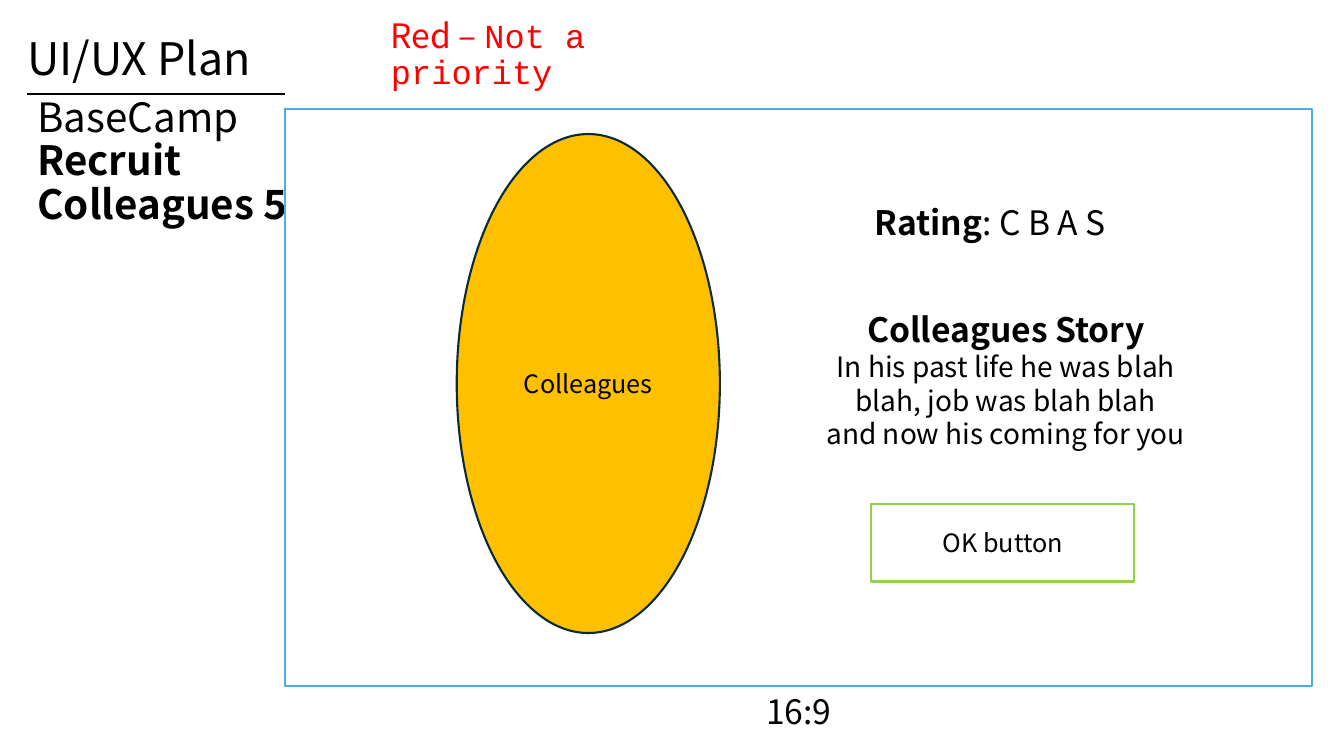
from lxml.etree import SubElement
from pptx import Presentation
from pptx.dml.color import RGBColor
from pptx.enum.shapes import MSO_CONNECTOR, MSO_SHAPE
from pptx.enum.text import MSO_ANCHOR, MSO_AUTO_SIZE, PP_ALIGN
from pptx.oxml.ns import qn
from pptx.util import Inches, Pt

BLACK = RGBColor(0x00, 0x00, 0x00)
RED = RGBColor(0xFF, 0x00, 0x00)
SKY = RGBColor(0x46, 0xB1, 0xE1)
GREEN = RGBColor(0x92, 0xD0, 0x50)
AMBER = RGBColor(0xFF, 0xC0, 0x00)
NAVY = RGBColor(0x09, 0x2A, 0x39)
SANS = "Noto Sans CJK KR"
MONO = "Courier New"


def write(shape, *paragraphs, size=24, color=BLACK, align=PP_ALIGN.LEFT,
          anchor=MSO_ANCHOR.MIDDLE, spacing=None):
    """Fill a shape with paragraphs of (text, format) runs."""
    frame = shape.text_frame
    frame.word_wrap = True
    frame.auto_size = MSO_AUTO_SIZE.NONE
    frame.vertical_anchor = anchor
    for index, runs in enumerate(paragraphs):
        paragraph = frame.add_paragraph() if index else frame.paragraphs[0]
        paragraph.alignment = align
        paragraph.line_spacing = spacing
        for text, look in runs:
            for number, line in enumerate(text.split("\n")):
                if number:
                    paragraph.add_line_break()
                if line:
                    run = paragraph.add_run()
                    run.text = line
                    run.font.name = look.get("font", SANS)
                    run.font.size = Pt(look.get("size", size))
                    run.font.bold = look.get("bold", False)
                    run.font.color.rgb = color


def add_text(slide, left, top, width, height, *paragraphs, **look):
    """Add a text box in inches and write into it."""
    box = slide.shapes.add_textbox(
        Inches(left), Inches(top), Inches(width), Inches(height))
    write(box, *paragraphs, **look)


def add_outlined(slide, kind, left, top, width, height, line, fill=None, label=None):
    """Add an outlined shape with an optional fill and centred label."""
    shape = slide.shapes.add_shape(
        kind, Inches(left), Inches(top), Inches(width), Inches(height))
    shape.shadow.inherit = False
    if fill is None:
        shape.fill.background()
    else:
        shape.fill.solid()
        shape.fill.fore_color.rgb = fill
    shape.line.color.rgb = line
    shape.line.width = Pt(1.5)
    if label:
        write(shape, [(label, {})], size=18, align=PP_ALIGN.CENTER)


def add_heading(slide, left, top):
    """Place the plan name, its rule, the screen title and the priority key."""
    add_text(slide, left, top, 11.5, 0.96, [("UI/UX Plan", {})], size=32, spacing=0.9)
    rule_left, rule_top = left + 0.1, top + 0.8
    rule = slide.shapes.add_connector(
        MSO_CONNECTOR.STRAIGHT, Inches(rule_left), Inches(rule_top),
        Inches(rule_left + 2.56), Inches(rule_top))
    rule.line.color.rgb = BLACK
    rule.line.width = Pt(1.5)
    SubElement(rule._element.spPr, qn("a:effectLst"))
    title = slide.shapes.title
    title.left, title.top = Inches(rule_left), Inches(rule_top)
    title.width, title.height = Inches(2.69), Inches(1.37)
    write(title, [("BaseCamp\n", {}), ("Recruit Colleagues 5", {"bold": True})],
          size=28.8, spacing=0.9)
    add_text(slide, left + 3.61, top + 0.02, 3.33, 0.8,
             [("Red – ", {}), ("Not a priority", {"font": MONO})],
             color=RED, spacing=0.9)


def add_screen(slide, left, top, width, height):
    """Draw the recruit screen mock-up and its aspect ratio."""
    add_outlined(slide, MSO_SHAPE.RECTANGLE, left, top, width, height, SKY)
    add_text(slide, left + 4.67, top + height - 0.13, 1.25, 0.8,
             [("16:9", {})], spacing=0.9)
    add_outlined(slide, MSO_SHAPE.OVAL, left + 1.7, top + 0.25, 2.61, 4.95,
                 NAVY, AMBER, "Colleagues")
    centred = {"align": PP_ALIGN.CENTER, "anchor": MSO_ANCHOR.TOP}
    add_text(slide, left + 5.41, top + 0.87, 3.16, 0.5,
             [("Rating", {"bold": True}), (": C B A S", {})], **centred)
    story = ("In his past life he was blah blah, job was blah blah\n"
             "and now his coming for you")
    add_text(slide, left + 5.09, top + 1.94, 4.11, 1.51,
             [("Colleagues Story", {"bold": True})], [(story, {"size": 20})], **centred)
    add_outlined(slide, MSO_SHAPE.RECTANGLE, left + 5.81, top + 3.92, 2.61, 0.77,
                 GREEN, label="OK button")


def main():
    """Build and save the slide."""
    deck = Presentation()
    deck.slide_width, deck.slide_height = Inches(13.33), Inches(7.5)
    slide = deck.slides.add_slide(deck.slide_layouts[5])
    add_heading(slide, 0.17, 0.13)
    add_screen(slide, 2.83, 1.08, 10.18, 5.73)
    deck.save("out.pptx")


if __name__ == "__main__":
    main()
